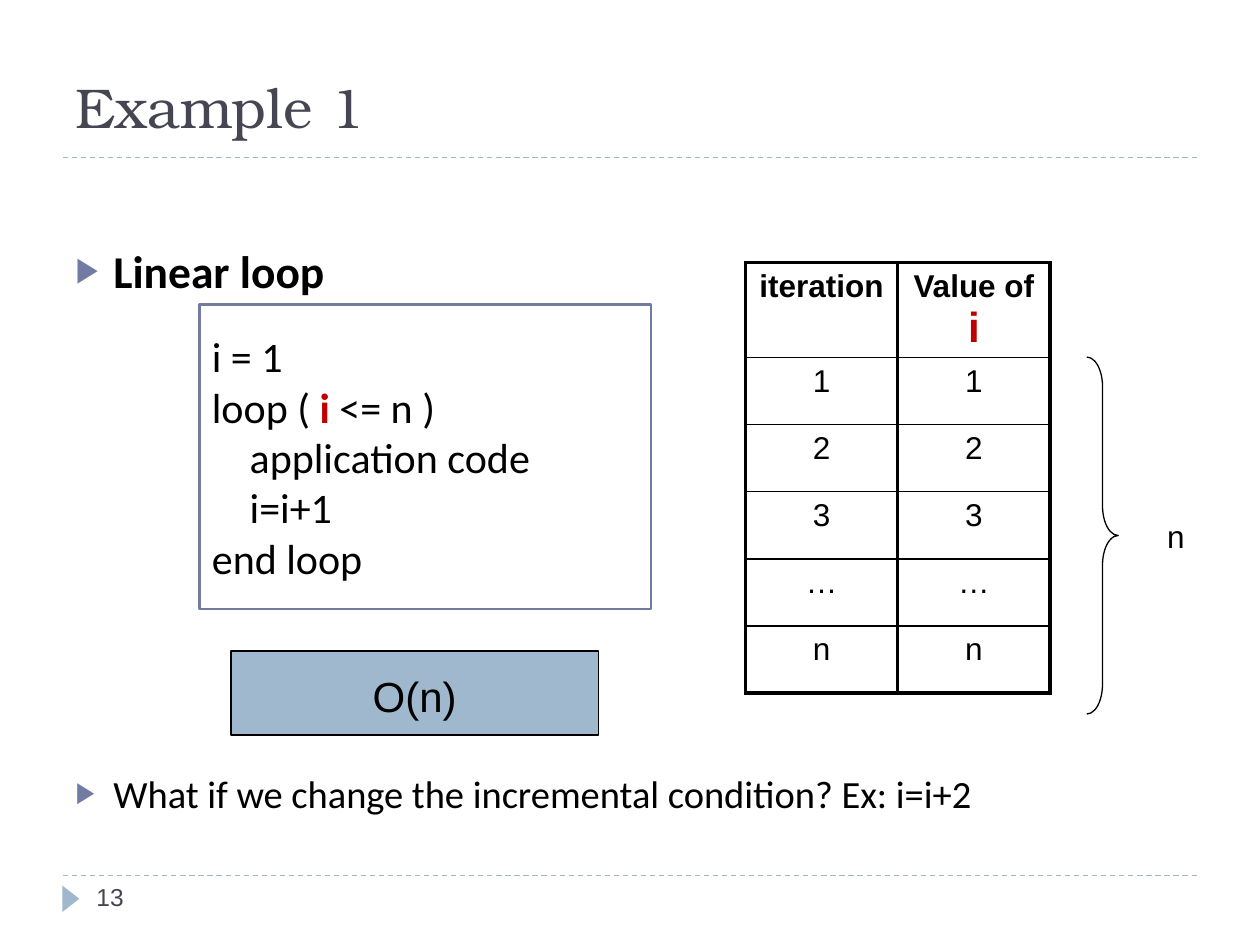
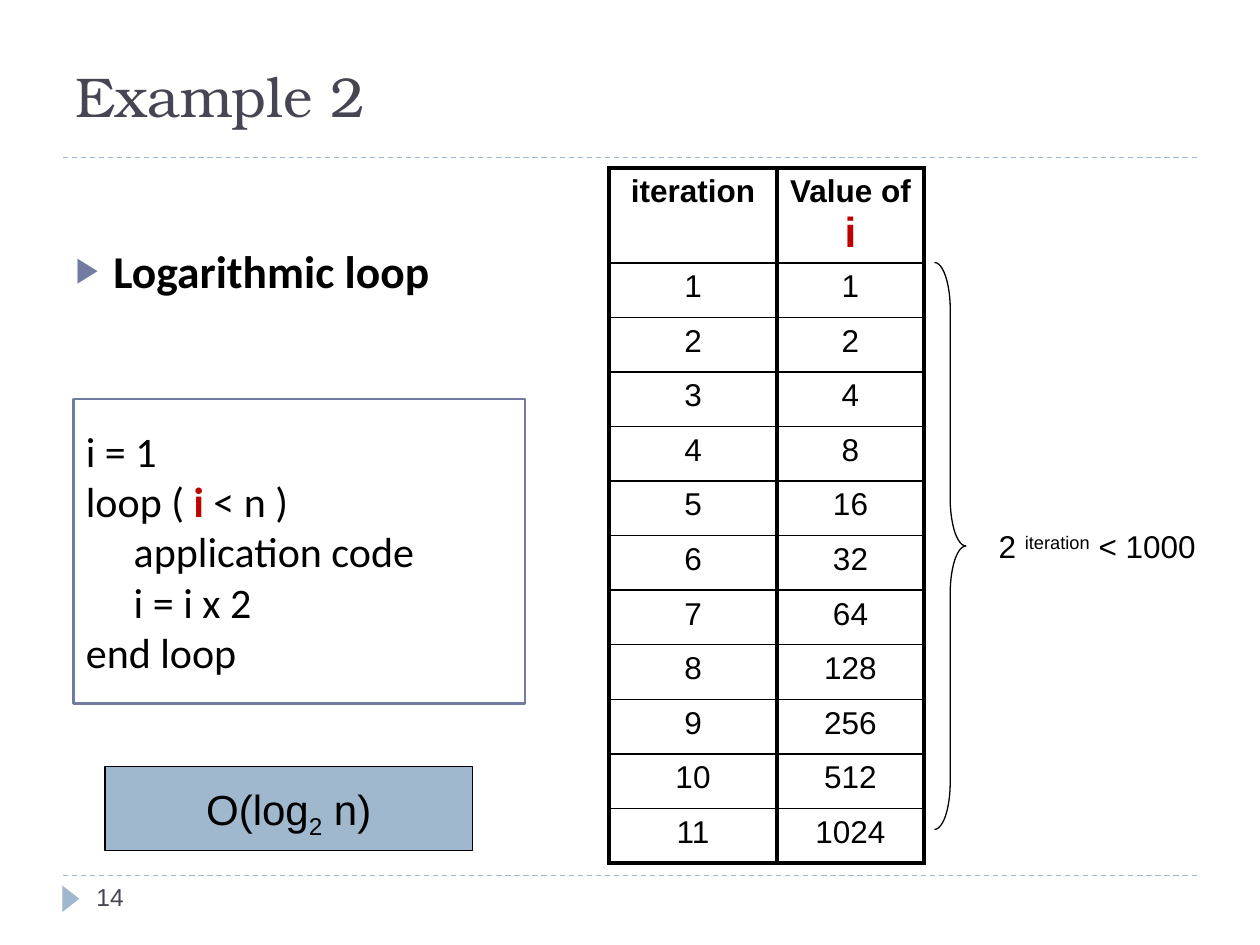
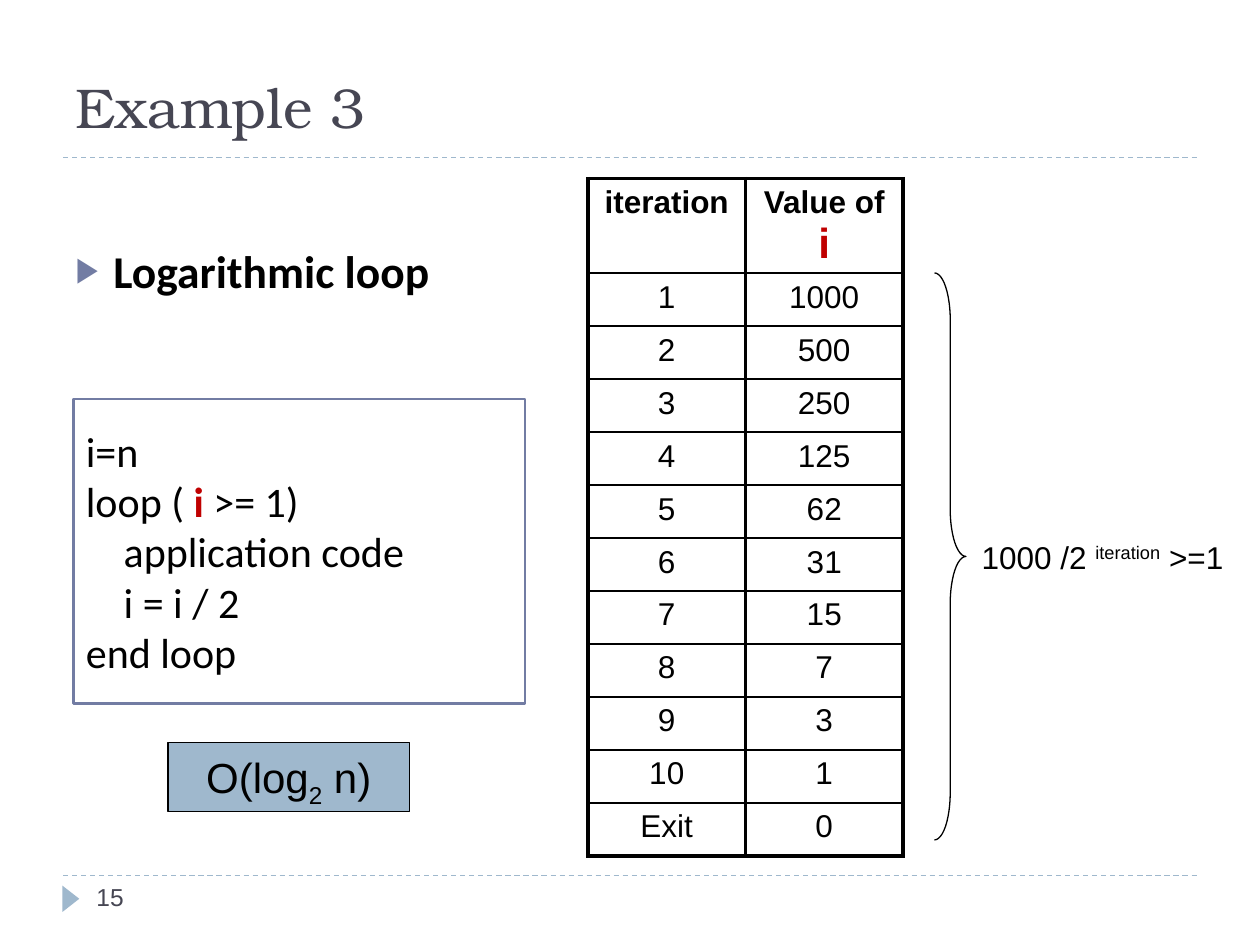
from lxml import etree
from pptx import Presentation
from pptx.dml.color import RGBColor
from pptx.enum.dml import MSO_LINE
from pptx.enum.shapes import MSO_CONNECTOR, MSO_SHAPE
from pptx.enum.text import MSO_ANCHOR, MSO_AUTO_SIZE, PP_ALIGN
from pptx.oxml.ns import qn
from pptx.util import Inches, Pt

LEFT, CENTER = PP_ALIGN.LEFT, PP_ALIGN.CENTER
TOP, MIDDLE, BOTTOM = MSO_ANCHOR.TOP, MSO_ANCHOR.MIDDLE, MSO_ANCHOR.BOTTOM
NO_FIT = MSO_AUTO_SIZE.NONE
STRAIGHT, DASH = MSO_CONNECTOR.STRAIGHT, MSO_LINE.DASH
RECT, TRIANGLE, BRACE = MSO_SHAPE.RECTANGLE, MSO_SHAPE.ISOSCELES_TRIANGLE, MSO_SHAPE.RIGHT_BRACE

BLACK, WHITE, RED = "000000", "FFFFFF", "C00000"
INK, BLUE, VIOLET = "464653", "9FB8CD", "727CA3"
COLS, ROWS = 120, 90
HEADER_ROW = 8.4
THICK, THIN = 2.25, 1

TITLE = {"name": "TeX Gyre Bonum", "size": 32, "color": INK}
BODY = {"name": "Calibri", "size": 22, "color": BLACK, "bold": False}
CODE = {"name": "Calibri", "size": 24, "color": BLACK}
COST = {"name": "Arial", "size": 24, "color": BLACK}
LABEL = {"name": "Arial", "size": 18, "color": BLACK}
NUMBER = {"name": "Arial", "size": 14, "color": INK}
COUNTER = {"color": RED, "bold": True}
HEADING = {"size": 26, "bold": True}
SUPER, SUB = {"baseline": 30000}, {"baseline": -25000}

prs = Presentation()
prs.slide_width, prs.slide_height = Inches(10), Inches(7.5)
layout = prs.slide_layouts[1]


def rgb(value):
    return RGBColor.from_string(value)


def grid(*lengths):
    return [int(prs.slide_width * n / COLS) for n in lengths]


def format_run(r, fmt):
    for key, value in fmt.items():
        if key == "color":
            r.font.color.rgb = rgb(value)
        elif key == "baseline":
            r._r.get_or_add_rPr().set("baseline", str(value))
        else:
            setattr(r.font, key, Pt(value) if key == "size" else value)


def write(tf, lines, fmt, align=LEFT, anchor=TOP):
    for key, value in {"word_wrap": True, "auto_size": NO_FIT, "vertical_anchor": anchor}.items():
        setattr(tf, key, value)
    for i, line in enumerate(lines):
        p = tf.paragraphs[0] if i == 0 else tf.add_paragraph()
        p.alignment = align
        for part in line:
            text, extra = (part, {}) if isinstance(part, str) else part
            r = p.add_run()
            r.text = text
            format_run(r, {**fmt, **extra})


def place(sp, box):
    for key, value in zip(("left", "top", "width", "height"), grid(*box)):
        setattr(sp, key, value)


def add_shape(s, kind, box, fill=None, line=None, width=0.75):
    sp = s.shapes.add_shape(kind, *grid(*box))
    sp.shadow.inherit = False
    for part, color in ((sp.fill, fill), (sp.line.fill, line)):
        if color:
            part.solid()
            part.fore_color.rgb = rgb(color)
        else:
            part.background()
    if line:
        sp.line.width = Pt(width)
    return sp


def add_label(s, box, line, fmt, align=LEFT, anchor=TOP):
    tf = s.shapes.add_textbox(*grid(*box)).text_frame
    write(tf, [line], fmt, align, anchor)


def add_rule(s, y):
    rule = s.shapes.add_connector(STRAIGHT, *grid(6, y, COLS - 6, y))
    rule.line.color.rgb = rgb(BLUE)
    rule.line.width = Pt(0.75)
    rule.line.dash_style = DASH
    etree.SubElement(rule._element.spPr, qn("a:effectLst"))
    return rule


def decorate_layout(s):
    marker = add_shape(s, TRIANGLE, (5.5, 84.8, 2.5, 1.6), BLUE)
    marker.rotation = 90
    for sp in (add_rule(s, 83.4), add_rule(s, 15), marker):
        layout.shapes._spTree.append(sp._element)


def add_bullet(p):
    pPr = p._p.get_or_add_pPr()
    pPr.set("marL", str(Inches(0.3)))
    pPr.set("indent", str(-Inches(0.3)))
    color = etree.SubElement(pPr, qn("a:buClr"))
    etree.SubElement(color, qn("a:srgbClr"), val=VIOLET)
    etree.SubElement(pPr, qn("a:buSzPct"), val="76000")
    etree.SubElement(pPr, qn("a:buChar"), char="▶")


def add_title(s, box, text):
    place(s.shapes.title, box)
    write(s.shapes.title.text_frame, [[text]], TITLE, anchor=BOTTOM)


def add_body(s, box, heading, question=None):
    body = s.placeholders[1]
    place(body, box)
    lines = [[(heading, HEADING)]] + ([[question]] if question else [])
    write(body.text_frame, lines, BODY)
    for p, gap in zip(body.text_frame.paragraphs, (6, 270)):
        p.space_before = Pt(gap)
        add_bullet(p)


def add_code(s, box, start, condition, step, indent):
    tf = add_shape(s, RECT, box, WHITE, VIOLET, 1.5).text_frame
    loop = ["loop ( ", ("i", COUNTER), condition]
    write(tf, [[start], loop, ["application code"], [step], ["end loop"]], CODE, anchor=MIDDLE)
    for p in tf.paragraphs[2:4]:
        p._p.get_or_add_pPr().set("marL", str(Inches(indent)))


def add_cost(s, box, line):
    tf = add_shape(s, RECT, box, BLUE, BLACK).text_frame
    tf.margin_top = Inches(0.1)
    write(tf, [line], COST, CENTER, MIDDLE)


def add_border(cell, sides):
    tcPr = cell._tc.get_or_add_tcPr()
    for i, (side, width) in enumerate(sides.items()):
        ln = etree.Element(qn("a:" + side), w=str(Pt(width)))
        fill = etree.SubElement(ln, qn("a:solidFill"))
        etree.SubElement(fill, qn("a:srgbClr"), val=BLACK)
        tcPr.insert(i, ln)


def add_trace(s, left, top, widths, row, pairs):
    header = ["iteration"], ["Value of ", ("i", {"size": 24, "color": RED})]
    content = [header] + [([a], [b]) for a, b in pairs]
    last = len(pairs)
    box = grid(left, top, sum(widths), HEADER_ROW + row * last)
    table = s.shapes.add_table(last + 1, 2, *box).table
    table.first_row = table.horz_banding = False
    for column, width in zip(table.columns, grid(*widths)):
        column.width = width
    for i, line in enumerate(content):
        table.rows[i].height = grid(row if i else HEADER_ROW)[0]
        for j, text in enumerate(line):
            cell = table.cell(i, j)
            cell.fill.background()
            write(cell.text_frame, [text], {**LABEL, "bold": i == 0}, CENTER)
            add_border(cell, {"lnL": THICK, "lnR": THICK,
                              "lnT": THIN if i else THICK,
                              "lnB": THICK if i == last else THIN})


def add_brace(s, box, curl, label, center):
    brace = add_shape(s, BRACE, box, line=BLACK)
    brace.adjustments[0] = curl
    width = 2 * (COLS - center)
    add_label(s, (center - width / 2, box[1], width, box[3]), label, LABEL, CENTER, MIDDLE)


def add_example(number, title_height, body, trace, code, cost, brace):
    s = prs.slides.add_slide(layout)
    add_title(s, (6, 1.5, 99, title_height), f"Example {number}")
    add_body(s, (6, 22.5, 106, 61.5), *body)
    add_trace(s, *trace)
    add_code(s, *code)
    add_cost(s, *cost)
    add_brace(s, *brace)
    add_label(s, (8, 83.4, 26, 4.8), [str(number + 12)], NUMBER)
    return s


LOG_COST = ["O(log", ("2", SUB), " n)"]
doubled = [(str(n), str(2 ** (n - 1))) for n in range(1, 12)]
halved = [(str(n), str(1000 // 2 ** (n - 1))) for n in range(1, 11)] + [("Exit", "0")]

first = add_example(
    1, 12.4,
    ("Linear loop", "What if we change the incremental condition? Ex: i=i+2"),
    (71, 25, (14.5, 14.5), 6.4, [(v, v) for v in "123…n"]),
    ((19, 29, 43, 29), "i = 1", " <= n )", "i=i+1", 0.3),
    ((22, 62, 35, 8), ["O(n)"]),
    ((103.5, 34, 3, 34), 0.94, ["n"], 112))
add_example(
    2, 11.4, ("Logarithmic loop",),
    (58, 16, (16, 14), 5.2, doubled),
    ((7, 38, 43, 29), "i = 1", " < n )", "i = i x 2", 0.38),
    ((10, 73, 35, 8), LOG_COST),
    ((89, 25, 3, 54), 1.5, ["2 ", ("iteration", SUPER), " < 1000"], 104.5))
add_example(
    3, 12.4, ("Logarithmic loop",),
    (56, 17, (15, 15), 5.05, halved),
    ((7, 38, 43, 29), "i=n", " >= 1)", "i = i / 2", 0.3),
    ((16, 70.7, 23, 6.6), LOG_COST),
    ((89, 26, 3, 54), 1.5, ["1000 /2 ", ("iteration", SUPER), " >=1"], 105))
decorate_layout(first)

prs.save("out.pptx")
